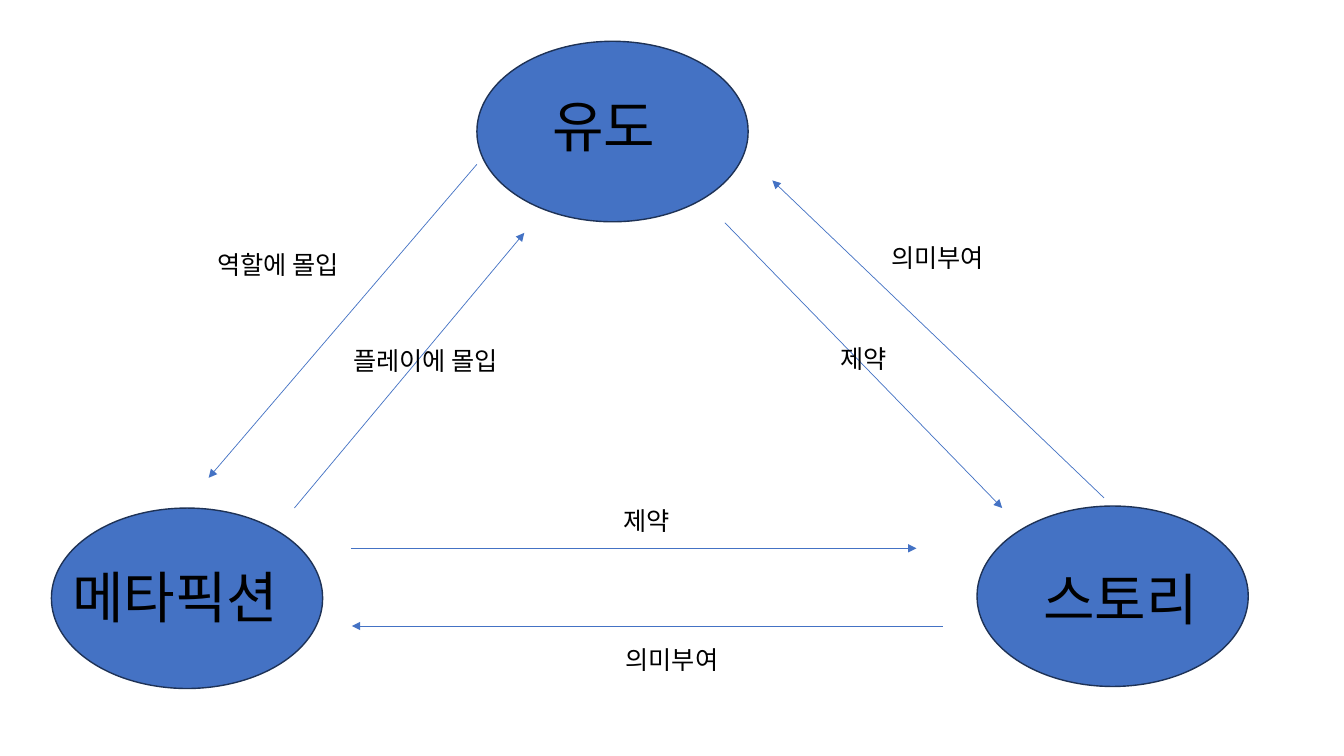
from lxml.etree import SubElement
from pptx import Presentation
from pptx.dml.color import RGBColor
from pptx.enum.shapes import MSO_CONNECTOR, MSO_SHAPE
from pptx.enum.text import MSO_AUTO_SIZE, PP_ALIGN
from pptx.oxml.ns import qn
from pptx.util import Inches, Pt

COLORS = {"blue": "4472C4", "outline": "1E3256", "text": "000000"}
FONT = "Noto Sans CJK KR"
NODE_W, NODE_H = 2.69, 1.79

# name, ellipse left and top, text offset and width
NODES = [
    ("유도", (4.73, 0.41), (0.65, 0.45), 1.58),
    ("메타픽션", (0.51, 5.04), (0.11, 0.49), 3.02),
    ("스토리", (9.69, 5.02), (0.56, 0.53), 2.58),
]

# label, arrow start, arrow end, label left, top and width
RELATIONS = [
    ("역할에 몰입", (4.73, 1.63), (2.07, 4.74), (1.44, 2.42, 2.64)),
    ("플레이에 몰입", (2.92, 5.04), (5.2, 2.31), (2.9, 3.38, 2.64)),
    ("제약", (7.19, 2.21), (9.94, 5.04), (7.19, 3.36, 2.75)),
    ("의미부여", (10.95, 4.94), (7.66, 1.79), (7.98, 2.35, 2.64)),
    ("제약", (3.48, 5.44), (9.09, 5.44), (4.61, 4.96, 3.61)),
    ("의미부여", (9.35, 6.21), (3.49, 6.21), (4.86, 6.34, 3.61)),
]


def color(name):
    """Return the palette colour with the given name."""
    return RGBColor.from_string(COLORS[name])


def add_text(s, text, x, y, w, h, size=18, align=PP_ALIGN.CENTER):
    """Add a one-paragraph text box."""
    tf = s.shapes.add_textbox(Inches(x), Inches(y), Inches(w), Inches(h)).text_frame
    tf.word_wrap = True
    tf.auto_size = MSO_AUTO_SIZE.SHAPE_TO_FIT_TEXT
    p = tf.paragraphs[0]
    p.alignment = align
    r = p.add_run()
    r.text = text
    r.font.size = Pt(size)
    r.font.name = FONT
    r.font.color.rgb = color("text")
    SubElement(r.font._element, qn("a:ea"), typeface=FONT)


def add_node(s, name, corner, offset, text_w):
    """Add an ellipse at its corner with its name placed inside it."""
    x, y = corner
    dx, dy = offset
    sp = s.shapes.add_shape(MSO_SHAPE.OVAL, Inches(x), Inches(y), Inches(NODE_W), Inches(NODE_H))
    sp.shadow.inherit = False
    sp.fill.solid()
    sp.fill.fore_color.rgb = color("blue")
    sp.line.color.rgb = color("outline")
    sp.line.width = Pt(1)
    add_text(s, name, x + dx, y + dy, text_w, 0.77, size=40, align=PP_ALIGN.LEFT)


def add_relation(s, label, start, end, label_box):
    """Add an arrow between two points and its label."""
    points = [Inches(v) for v in (*start, *end)]
    line = s.shapes.add_connector(MSO_CONNECTOR.STRAIGHT, *points)
    line.line.color.rgb = color("blue")
    line.line.width = Pt(0.5)
    SubElement(line.line._get_or_add_ln(), qn("a:tailEnd"), type="triangle")
    SubElement(line._element.spPr, qn("a:effectLst"))
    add_text(s, label, *label_box, 0.4)


def build_diagram(s):
    """Place the three nodes and the six relations on the slide."""
    for node in NODES:
        add_node(s, *node)
    for relation in RELATIONS:
        add_relation(s, *relation)


def main():
    """Build and save the presentation."""
    prs = Presentation()
    prs.slide_width, prs.slide_height = Inches(13.33), Inches(7.5)
    build_diagram(prs.slides.add_slide(prs.slide_layouts[6]))
    prs.save("out.pptx")


if __name__ == "__main__":
    main()
